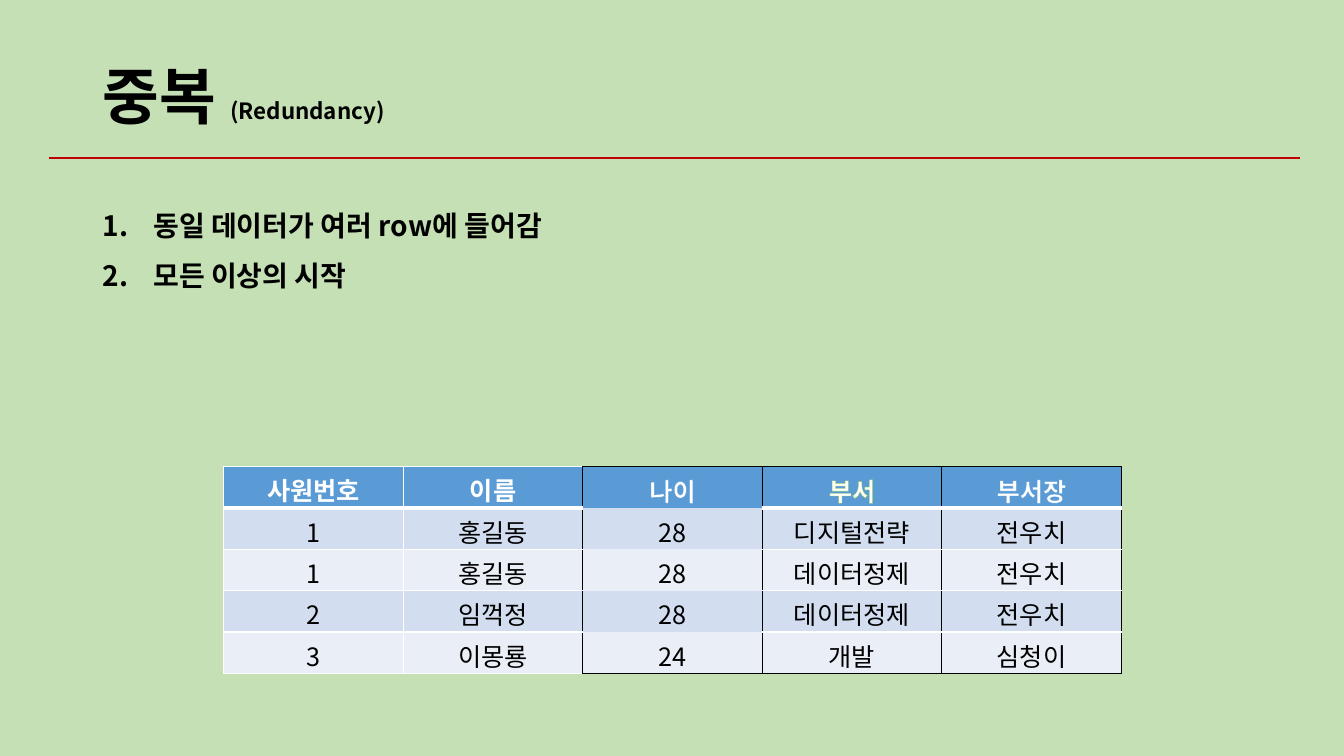
from lxml import etree
from pptx import Presentation
from pptx.dml.color import RGBColor
from pptx.enum import shapes, text
from pptx.oxml import ns
from pptx.util import Inches, Pt

TITLE = [("중복 ", 44), ("(Redundancy)", 16)]
POINTS = ["동일 데이터가 여러 row에 들어감", "모든 이상의 시작"]
STAFF = [
    ("사원번호", "이름", "나이", "부서", "부서장"),
    ("1", "홍길동", "28", "디지털전략", "전우치"),
    ("1", "홍길동", "28", "데이터정제", "전우치"),
    ("2", "임꺽정", "28", "데이터정제", "전우치"),
    ("3", "이몽룡", "24", "개발", "심청이"),
]

FONT = "Noto Sans CJK KR"
BLACK = RGBColor(0x00, 0x00, 0x00)
WHITE = RGBColor(0xFF, 0xFF, 0xFF)
PALE_GREEN = RGBColor(0xC5, 0xE0, 0xB4)
RED = RGBColor(0xC0, 0x00, 0x00)
BLUE = RGBColor(0x5B, 0x9B, 0xD5)
GREEN = RGBColor(0x92, 0xD0, 0x50)
BANDS = [RGBColor(0xEA, 0xEF, 0xF7), RGBColor(0xD2, 0xDE, 0xEF)]
OUTLINES = {2: BLUE, 3: GREEN, 4: BLUE}

COLUMN_WIDTH, ROW_HEIGHT = 1.78, 0.41
FIRST_BLACK_COLUMN = 2


def place(part, left, top, width, height):
    part.left, part.top = Inches(left), Inches(top)
    part.width, part.height = Inches(width), Inches(height)


def set_font(paragraph, color, bold, size=None):
    font = paragraph.font
    font.name, font.bold = FONT, bold
    font.color.rgb = color
    if size:
        font.size = Pt(size)
    etree.SubElement(font._rPr, ns.qn("a:ea"), typeface=FONT)


def make_line(tag, color, points):
    line = etree.Element(ns.qn(tag), w=str(Pt(points)))
    if color is None:
        etree.SubElement(line, ns.qn("a:noFill"))
    else:
        fill = etree.SubElement(line, ns.qn("a:solidFill"))
        etree.SubElement(fill, ns.qn("a:srgbClr"), val=str(color))
    return line


def vertical_border(edge):
    return (BLACK if edge >= FIRST_BLACK_COLUMN else WHITE), 1


def horizontal_border(edge, column):
    if edge in (0, len(STAFF)):
        return (BLACK if column >= FIRST_BLACK_COLUMN else WHITE), 1
    color = None if column == FIRST_BLACK_COLUMN else WHITE
    return color, 3 if edge == 1 else 1


def fill_cell(cell, row, column, words):
    properties = cell._tc.get_or_add_tcPr()
    borders = {
        "a:lnL": vertical_border(column),
        "a:lnR": vertical_border(column + 1),
        "a:lnT": horizontal_border(row, column),
        "a:lnB": horizontal_border(row + 1, column),
    }
    for tag, (color, points) in borders.items():
        properties.append(make_line(tag, color, points))
    cell.fill.solid()
    cell.fill.fore_color.rgb = BANDS[row % 2] if row else BLUE
    cell.vertical_anchor = text.MSO_ANCHOR.MIDDLE
    paragraph = cell.text_frame.paragraphs[0]
    paragraph.alignment = text.PP_ALIGN.CENTER
    run = paragraph.add_run()
    run.text = words
    set_font(paragraph, BLACK if row else WHITE, row == 0, 18)
    if column in OUTLINES:
        outline = make_line("a:ln", OUTLINES[column], 0.75)
        run._r.get_or_add_rPr().insert(0, outline)


def main():
    deck = Presentation()
    deck.slide_width, deck.slide_height = Inches(13.33), Inches(7.5)
    slide = deck.slides.add_slide(deck.slide_layouts[1])
    slide.background.fill.solid()
    slide.background.fill.fore_color.rgb = PALE_GREEN

    title = slide.shapes.title
    place(title, 0.92, 0.4, 11.5, 1.17)
    title.text_frame.vertical_anchor = text.MSO_ANCHOR.MIDDLE
    heading = title.text_frame.paragraphs[0]
    heading.alignment = text.PP_ALIGN.LEFT
    heading.line_spacing = 0.9
    set_font(heading, BLACK, True)
    for words, size in TITLE:
        run = heading.add_run()
        run.text, run.font.size = words, Pt(size)

    rule = slide.shapes.add_connector(
        shapes.MSO_CONNECTOR.STRAIGHT,
        Inches(0.49), Inches(1.57), Inches(12.89), Inches(1.57))
    rule.line.color.rgb, rule.line.width = RED, Pt(1.5)
    etree.SubElement(rule._element.spPr, ns.qn("a:effectLst"))

    points = slide.placeholders[1]
    place(points, 0.92, 1.85, 11.16, 1.05)
    points.text_frame.text = "\n".join(POINTS)
    points.text_frame.auto_size = text.MSO_AUTO_SIZE.SHAPE_TO_FIT_TEXT
    for point in points.text_frame.paragraphs:
        point.line_spacing, point.space_before = 1.5, Pt(0)
        layout = point._p.get_or_add_pPr()
        layout.set("marL", str(Inches(0.5)))
        layout.set("indent", str(Inches(-0.5)))
        etree.SubElement(layout, ns.qn("a:buFont"), typeface="+mj-lt")
        etree.SubElement(layout, ns.qn("a:buAutoNum"), type="arabicPeriod")
        set_font(point, BLACK, True, 20)

    rows, columns = len(STAFF), len(STAFF[0])
    staff = slide.shapes.add_table(
        rows, columns, Inches(2.22), Inches(4.63),
        Inches(COLUMN_WIDTH * columns), Inches(ROW_HEIGHT * rows)).table
    for row, record in enumerate(STAFF):
        for column, words in enumerate(record):
            fill_cell(staff.cell(row, column), row, column, words)

    deck.save("out.pptx")


if __name__ == "__main__":
    main()
